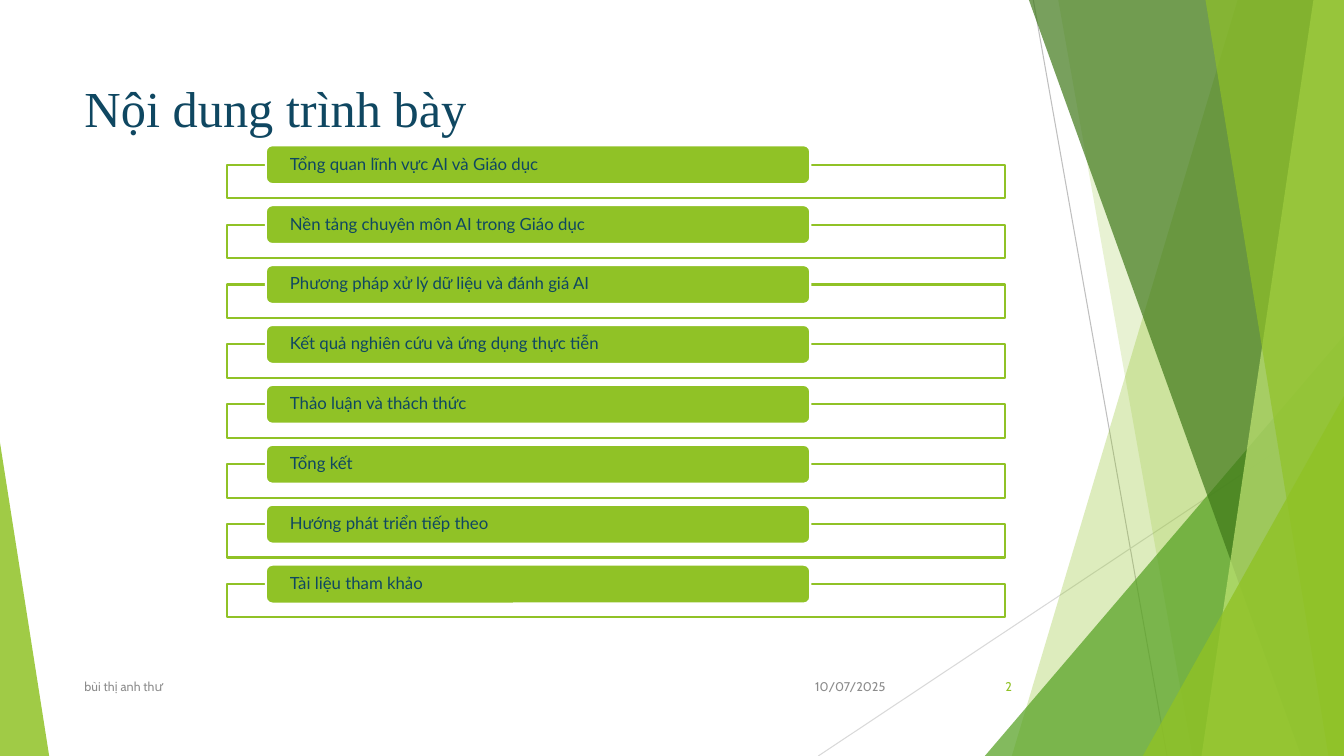
"""Build the agenda slide with its faceted green backdrop."""
from lxml.etree import SubElement
from pptx import Presentation
from pptx.dml.color import RGBColor
from pptx.enum.shapes import MSO_CONNECTOR, MSO_SHAPE
from pptx.enum.text import MSO_ANCHOR, PP_ALIGN
from pptx.oxml.ns import qn
from pptx.util import Cm, Pt

WIDE, HIGH = 33.87, 19.05
GREEN, NAVY, GREY, WHITE = "90C226", "0F4761", "8C8C8C", "FFFFFF"
TITLE = "Nội dung trình bày"
TOPICS = [
    "Tổng quan lĩnh vực AI và Giáo dục",
    "Nền tảng chuyên môn AI trong Giáo dục",
    "Phương pháp xử lý dữ liệu và đánh giá AI",
    "Kết quả nghiên cứu và ứng dụng thực tiễn",
    "Thảo luận và thách thức",
    "Tổng kết",
    "Hướng phát triển tiếp theo",
    "Tài liệu tham khảo",
]
FOOTER = [
    ("10/07/2025", 20.02, 2.54, PP_ALIGN.RIGHT, GREY),
    ("bùi thị anh thư", 1.88, 17.5, PP_ALIGN.LEFT, GREY),
    ("2", 23.85, 1.9, PP_ALIGN.RIGHT, GREEN),
]
RULES = [
    (26.04, 0, 29.41, HIGH, "BFBFBF"),
    (WIDE, 10.24, 20.62, HIGH, "D9D9D9"),
]
FACETS = [
    ("band", (31.19, 25.5), GREEN, 30),
    ("band", (26.67, 30.05), GREEN, 20),
    ("peak", (24.82, 8.46, 9.05, 1), "54A021", 72),
    ("band", (25.93, 32.79), "3F7819", 70),
    ("band", (33.1, 30.28), "C0E474", 70),
    ("band", (30.38, 33.48), GREEN, 65),
    ("peak", (28.8, 9.98, 5.07, 1), GREEN, 80),
    ("peak", (0, 11.15, 1.24, 0), GREEN, 85),
]
TOP, PITCH, DROP = 3.66, 1.51, 0.49

deck = Presentation()
deck.slide_width, deck.slide_height = Cm(WIDE), Cm(HIGH)
shapes = deck.slides.add_slide(deck.slide_layouts[6]).shapes


def paint(part, color, alpha=100):
    part.solid()
    part.fore_color.rgb = RGBColor.from_string(color)
    if alpha < 100:
        node = part._xPr.find(qn("a:solidFill"))[0]
        SubElement(node, qn("a:alpha")).set("val", str(alpha * 1000))


def dress(shape, color, alpha=100, edge=None):
    shape.shadow.inherit = False
    paint(shape.fill, color, alpha)
    if edge:
        paint(shape.line.fill, edge)
        shape.line.width = Pt(1.5)
    else:
        shape.line.fill.background()


def block(kind, box, *look):
    shape = shapes.add_shape(kind, *map(Cm, box))
    dress(shape, *look)
    return shape


def write(shape, text, font, size, color, align=PP_ALIGN.LEFT, anchor=MSO_ANCHOR.MIDDLE):
    frame = shape.text_frame
    frame.text = text
    frame.word_wrap = True
    frame.vertical_anchor = anchor
    para = frame.paragraphs[0]
    para.alignment = align
    style = para.runs[0].font
    style.name, style.size = font, Pt(size)
    paint(style.fill, color)
    return frame


def band(top, base, color, alpha):
    edge = [(WIDE, 0), (WIDE, HIGH), (base, HIGH)]
    pen = shapes.build_freeform(Cm(top), 0)
    pen.add_line_segments([(Cm(x), Cm(y)) for x, y in edge])
    dress(pen.convert_to_shape(), color, alpha)


def peak(left, top, width, tip, color, alpha):
    box = left, top, width, HIGH - top
    shape = block(MSO_SHAPE.ISOSCELES_TRIANGLE, box, color, alpha)
    shape.adjustments[0] = tip


for *ends, color in RULES:
    rule = shapes.add_connector(MSO_CONNECTOR.STRAIGHT, *map(Cm, ends))
    paint(rule.line.fill, color)
    rule.line.width = Pt(0.75)
    SubElement(rule._element.spPr, qn("a:effectLst"))

for kind, place, color, alpha in FACETS:
    draw = band if kind == "band" else peak
    draw(*place, color, alpha)

head = shapes.add_textbox(Cm(1.88), Cm(1.7), Cm(23.88), Cm(3.66))
frame = write(head, TITLE, "Times New Roman", 36, NAVY, anchor=MSO_ANCHOR.TOP)
frame.margin_top = Cm(0.25)

for row, topic in enumerate(TOPICS):
    top = TOP + row * PITCH
    block(MSO_SHAPE.RECTANGLE, (5.72, top + DROP, 19.61, 0.84), WHITE, 90, GREEN)
    bar = block(MSO_SHAPE.ROUNDED_RECTANGLE, (6.7, top, 13.72, 0.98), GREEN, 100, WHITE)
    frame = write(bar, topic, "Lato", 12, NAVY)
    frame.margin_left = frame.margin_right = Cm(0.56)
    frame.margin_top = frame.margin_bottom = 0
    frame.paragraphs[0].line_spacing = 0.9

for text, left, width, align, color in FOOTER:
    note = shapes.add_textbox(Cm(left), Cm(16.79), Cm(width), Cm(1.02))
    write(note, text, "Cabin", 9, color, align)

deck.save("out.pptx")
